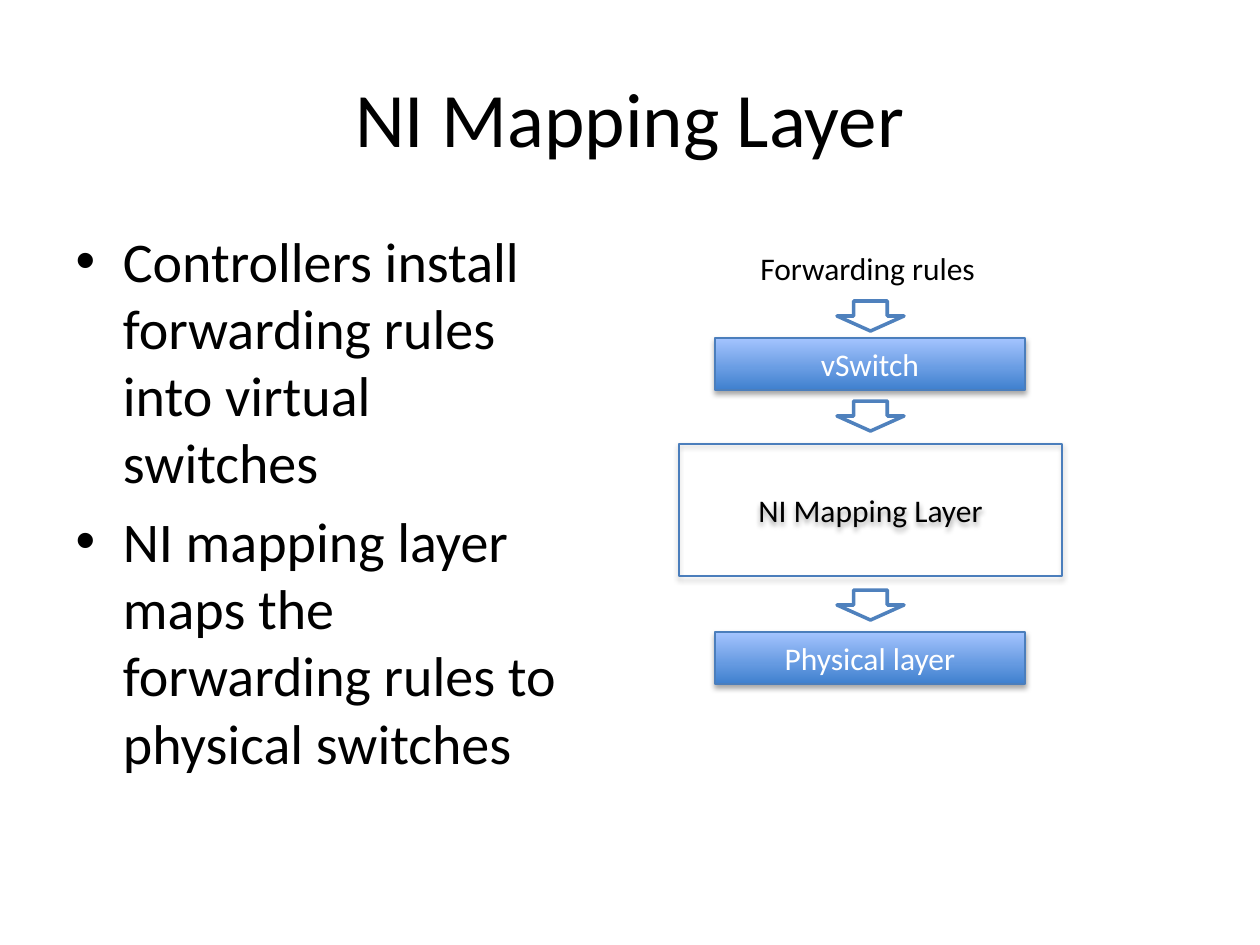
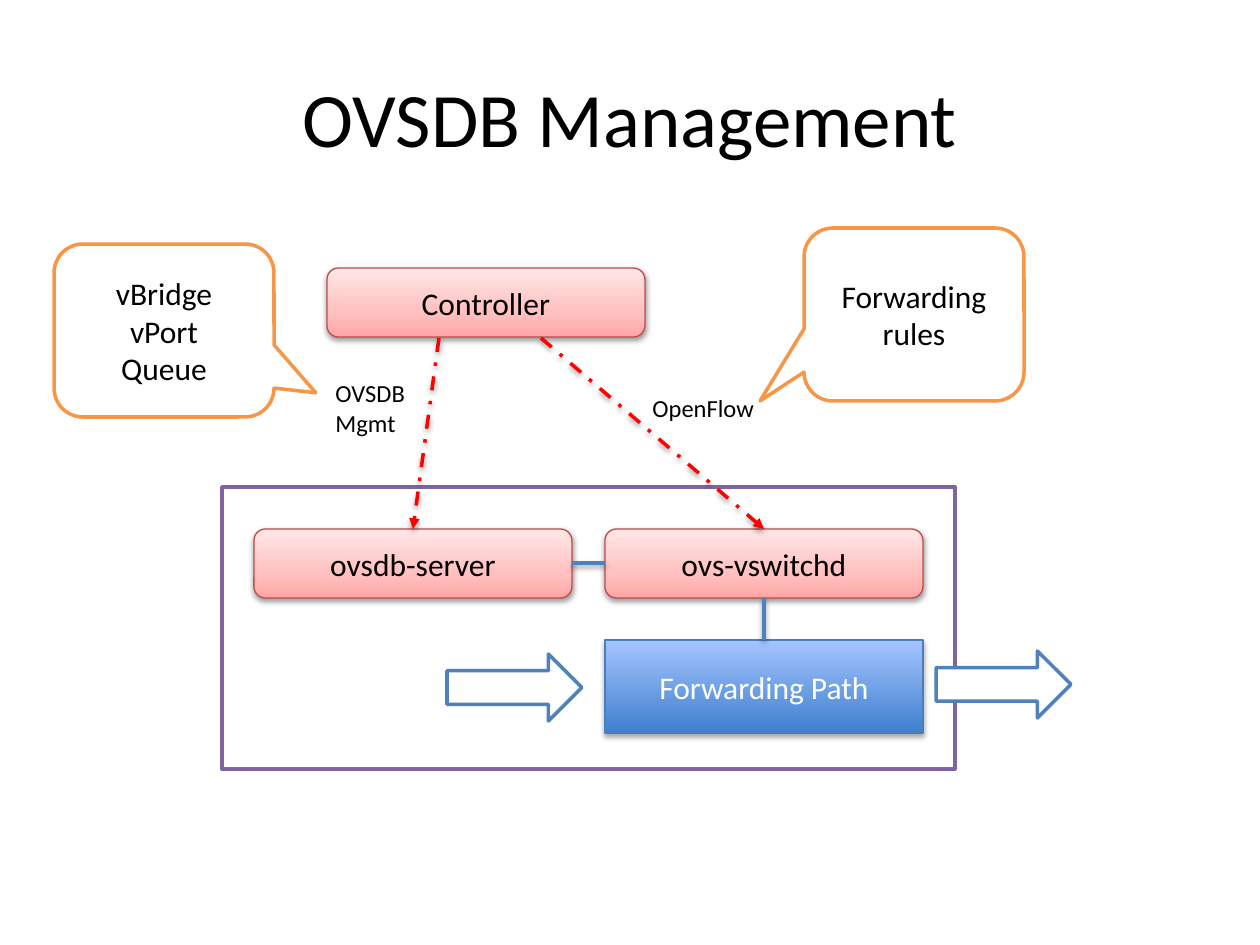
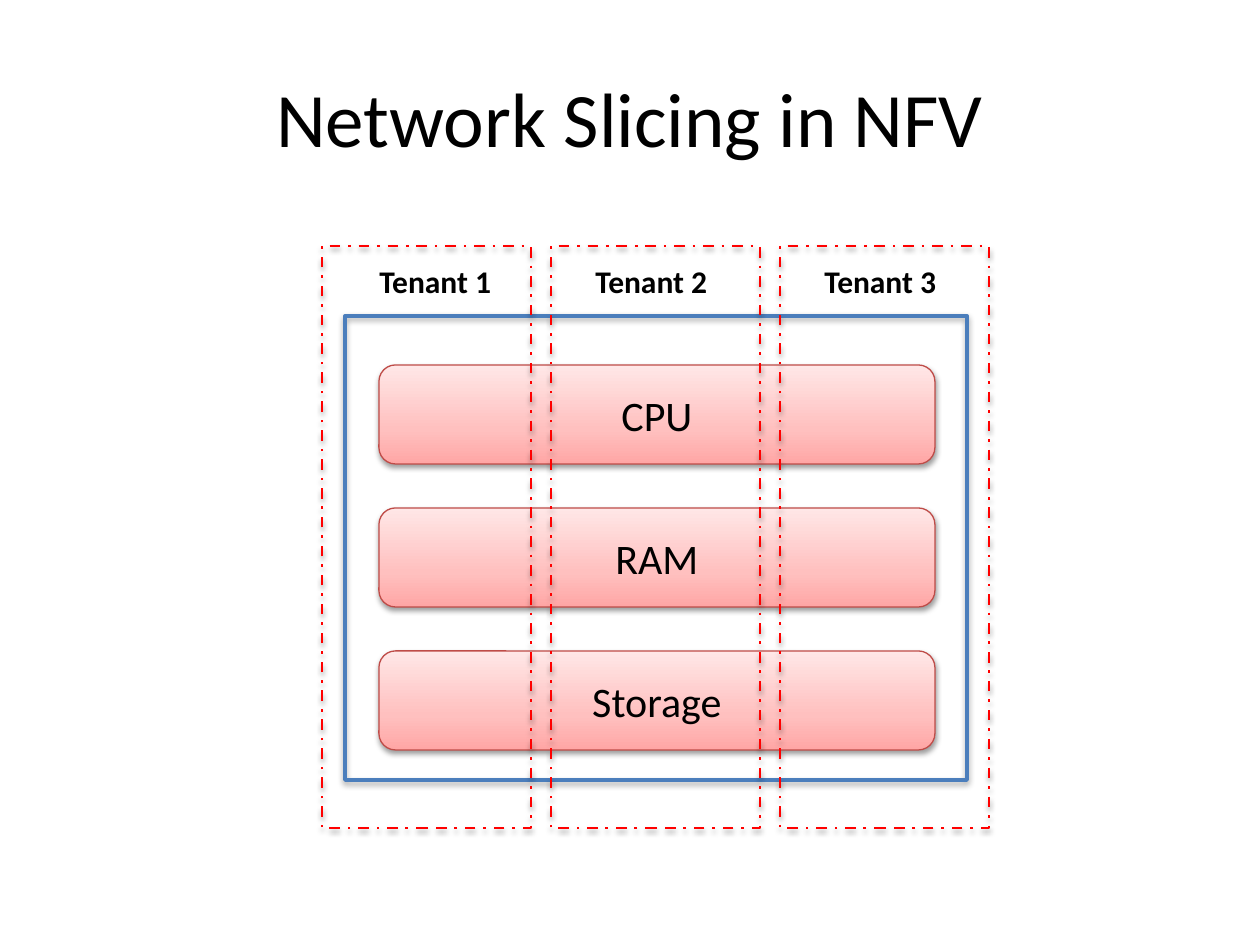
from lxml import etree
from pptx import Presentation
from pptx import util as u
from pptx.dml.color import RGBColor
from pptx.enum import dml, shapes, text
from pptx.oxml import ns

PX = 914400 / 126
COLORS = {
    "black": "000000", "white": "FFFFFF", "blue": "4F81BD", "edge": "4B7EBC",
    "red": "FF0000", "rose": "BF4C48", "purple": "8064A2", "orange": "F79646",
}
GRADS = {
    "blue_grad": [(0, "3F80CE"), (100, "A4C4FF")],
    "rose_grad": [(0, "FFA6A5"), (35, "FFC0BF"), (100, "FFE7E7")],
}
DEEP, SOFT = (35, 23000), (38, 20000)
STYLES = {
    "layer": dict(fill="blue_grad", line="edge", width=0.75, shadow=DEEP, color="white"),
    "outline": dict(line="edge", width=0.75, shadow=DEEP),
    "frame": dict(line="edge", width=2.25, shadow=DEEP),
    "slice": dict(line="red", width=1.5, shadow=DEEP, dash=True),
    "module": dict(fill="rose_grad", line="rose", width=0.75, shadow=SOFT),
    "arrow": dict(fill="white", line="blue", width=2),
    "host": dict(fill="white", line="purple", width=2),
    "callout": dict(fill="white", line="orange", width=2),
    "label": dict(),
}
SHAPE = shapes.MSO_SHAPE
RECT, ROUND = SHAPE.RECTANGLE, SHAPE.ROUNDED_RECTANGLE
CALLOUT = SHAPE.ROUNDED_RECTANGULAR_CALLOUT
CENTER = text.PP_ALIGN.CENTER


def finish(sp, line, width, shadow=None, dash=False):
    sp.line.color.rgb = RGBColor.from_string(COLORS[line])
    sp.line.width = u.Pt(width)
    if dash:
        sp.line.dash_style = dml.MSO_LINE.DASH_DOT
    effects = etree.SubElement(sp._element.spPr, ns.qn("a:effectLst"))
    if shadow:
        alpha, dist = shadow
        outer = etree.SubElement(effects, ns.qn("a:outerShdw"), blurRad="40000",
                                 dist=str(dist), dir="5400000", rotWithShape="0")
        clr = etree.SubElement(outer, ns.qn("a:srgbClr"), val=COLORS["black"])
        etree.SubElement(clr, ns.qn("a:alpha"), val=str(alpha * 1000))


def add_box(s, kind, box, style, words="", size=18, bold=False):
    look = dict(STYLES[style])
    fill, color = look.pop("fill", None), look.pop("color", "black")
    box = [int(v * PX) for v in box]
    if style == "label":
        sp = s.shapes.add_textbox(*box)
        sp.text_frame.word_wrap = False
        sp.text_frame.auto_size = text.MSO_AUTO_SIZE.SHAPE_TO_FIT_TEXT
    else:
        sp = s.shapes.add_shape(kind, *box)
        if fill in GRADS:
            sp.fill.gradient()
            sp.fill.gradient_angle = 90
            stops = sp._element.spPr.find(".//" + ns.qn("a:gsLst"))
            for gs in list(stops):
                stops.remove(gs)
            for pos, value in GRADS[fill]:
                gs = etree.SubElement(stops, ns.qn("a:gs"), pos=str(pos * 1000))
                etree.SubElement(gs, ns.qn("a:srgbClr"), val=value)
        elif fill:
            sp.fill.solid()
            sp.fill.fore_color.rgb = RGBColor.from_string(COLORS[fill])
        else:
            sp.fill.background()
        finish(sp, **look)
    if words:
        fmt = {"size": u.Pt(size), "name": "Calibri", "bold": bold}
        sp.text_frame.text = words
        for p in sp.text_frame.paragraphs:
            if style != "label":
                p.alignment = CENTER
            for r in p.runs:
                r.font.color.rgb = RGBColor.from_string(COLORS[color])
                for key, value in fmt.items():
                    setattr(r.font, key, value)
    return sp


prs = Presentation()
prs.slide_width, prs.slide_height = u.Inches(10), u.Inches(7.5)

mapping, ovsdb, slicing = [
    prs.slides.add_slide(prs.slide_layouts[i]) for i in (1, 5, 5)]
mapping.shapes.title.text = "NI Mapping Layer"
ovsdb.shapes.title.text = "OVSDB Management"
slicing.shapes.title.text = "Network Slicing in NFV"
body = mapping.placeholders[1]
body.text = ("Controllers install forwarding rules into virtual switches\n"
             "NI mapping layer maps the forwarding rules to physical switches")

holders = [(s.shapes.title, (63, 38, 1134, 157), 44) for s in prs.slides]
holders.append((body, (63, 220, 512, 646), 32))
for sp, box, size in holders:
    for key, value in zip(("left", "top", "width", "height"), box):
        setattr(sp, key, int(value * PX))
    for p in sp.text_frame.paragraphs:
        for r in p.runs:
            r.font.color.rgb = RGBColor.from_string(COLORS["black"])
            for key, value in {"size": u.Pt(size), "name": "Calibri"}.items():
                setattr(r.font, key, value)

for y, words in ((338, "vSwitch"), (632, "Physical layer")):
    add_box(mapping, RECT, (715, y, 310, 52), "layer", words)
add_box(mapping, RECT, (679, 444, 383, 132), "outline", "NI Mapping Layer")
add_box(mapping, None, (748, 243, 242, 50), "label", "Forwarding rules")
for y in (301, 401, 590):
    add_box(mapping, SHAPE.DOWN_ARROW, (837, y, 67, 30), "arrow")

add_box(ovsdb, RECT, (222, 487, 733, 282), "host")
for x, y, words in ((327, 268, "Controller"), (254, 529, "ovsdb-server"),
                    (605, 529, "ovs-vswitchd")):
    add_box(ovsdb, ROUND, (x, y, 318, 69), "module", words)
add_box(ovsdb, RECT, (605, 640, 318, 93), "layer", "Forwarding Path")
for x, y in ((447, 654), (936, 651)):
    add_box(ovsdb, SHAPE.RIGHT_ARROW, (x, y, 135, 67), "arrow")

for ends, color in (((572, 563, 605, 563), "blue"), ((764, 598, 764, 640), "blue"),
                    ((439, 338, 413, 529), "red"), ((541, 338, 764, 529), "red")):
    flow = color == "red"
    line = ovsdb.shapes.add_connector(shapes.MSO_CONNECTOR.STRAIGHT,
                                      *[int(v * PX) for v in ends])
    finish(line, color, 2, SOFT, flow)
    if flow:
        etree.SubElement(line.line._get_or_add_ln(), ns.qn("a:tailEnd"), type="triangle")

add_box(ovsdb, None, (323, 372, 96, 72), "label", "OVSDB\nMgmt", 14)
add_box(ovsdb, None, (640, 387, 127, 43), "label", "OpenFlow", 14)
for x, y, tip, words in ((54, 244, (0.69, 0.36), "vBridge\nvPort\nQueue"),
                         (804, 228, (-0.7, 0.5), "Forwarding rules")):
    sp = add_box(ovsdb, CALLOUT, (x, y, 220, 173), "callout", words)
    sp.adjustments[0], sp.adjustments[1] = tip

add_box(slicing, RECT, (345, 316, 622, 464), "frame")
for i, words in enumerate(("CPU", "RAM", "Storage")):
    add_box(slicing, ROUND, (379, 365 + 143 * i, 556, 99), "module", words, 24)
for i in range(3):
    add_box(slicing, RECT, (322 + 229 * i, 246, 209, 582), "slice")
for i, x in enumerate((367, 583, 812), 1):
    add_box(slicing, None, (x, 256, 145, 50), "label", f"Tenant {i}", bold=True)

prs.save("out.pptx")
